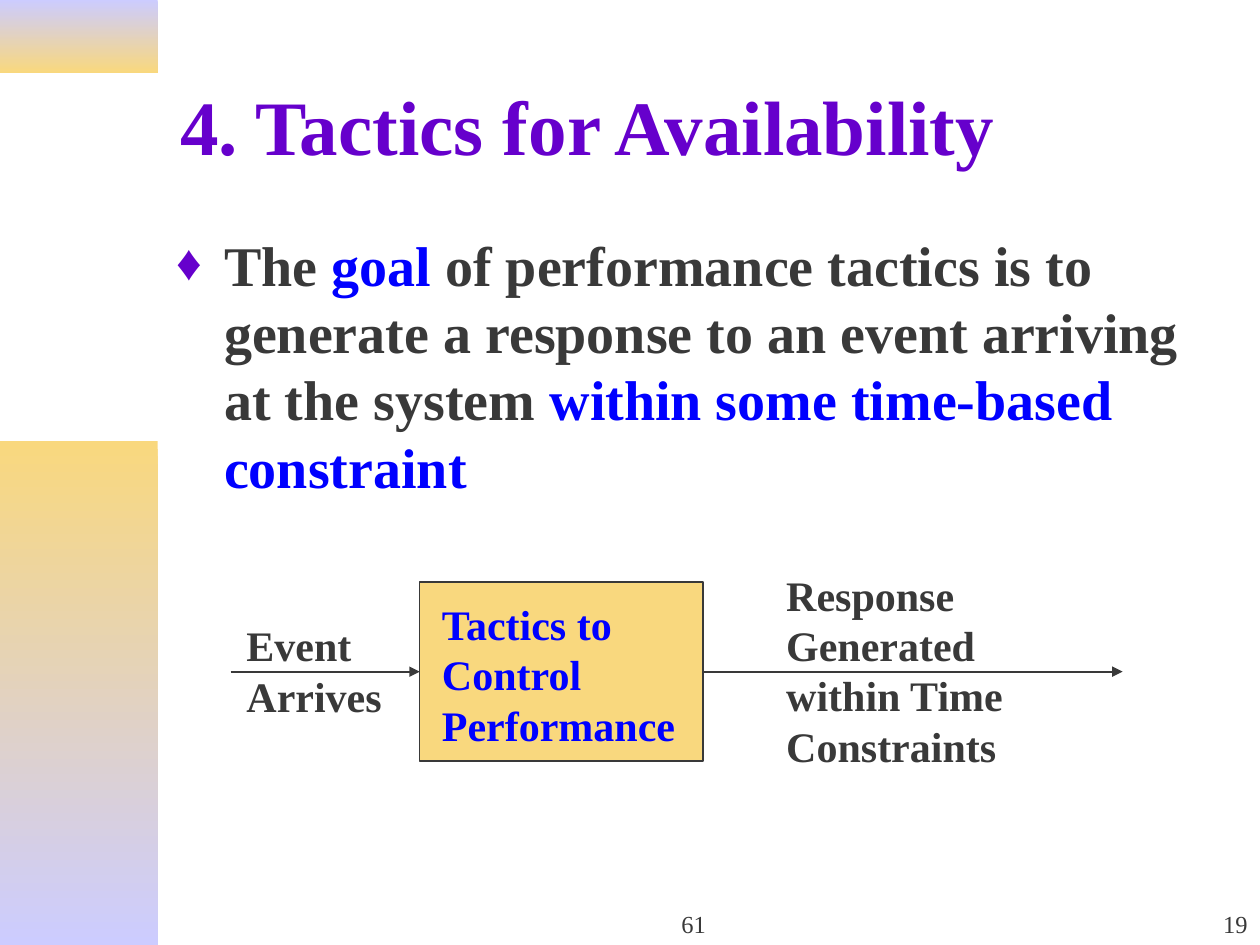
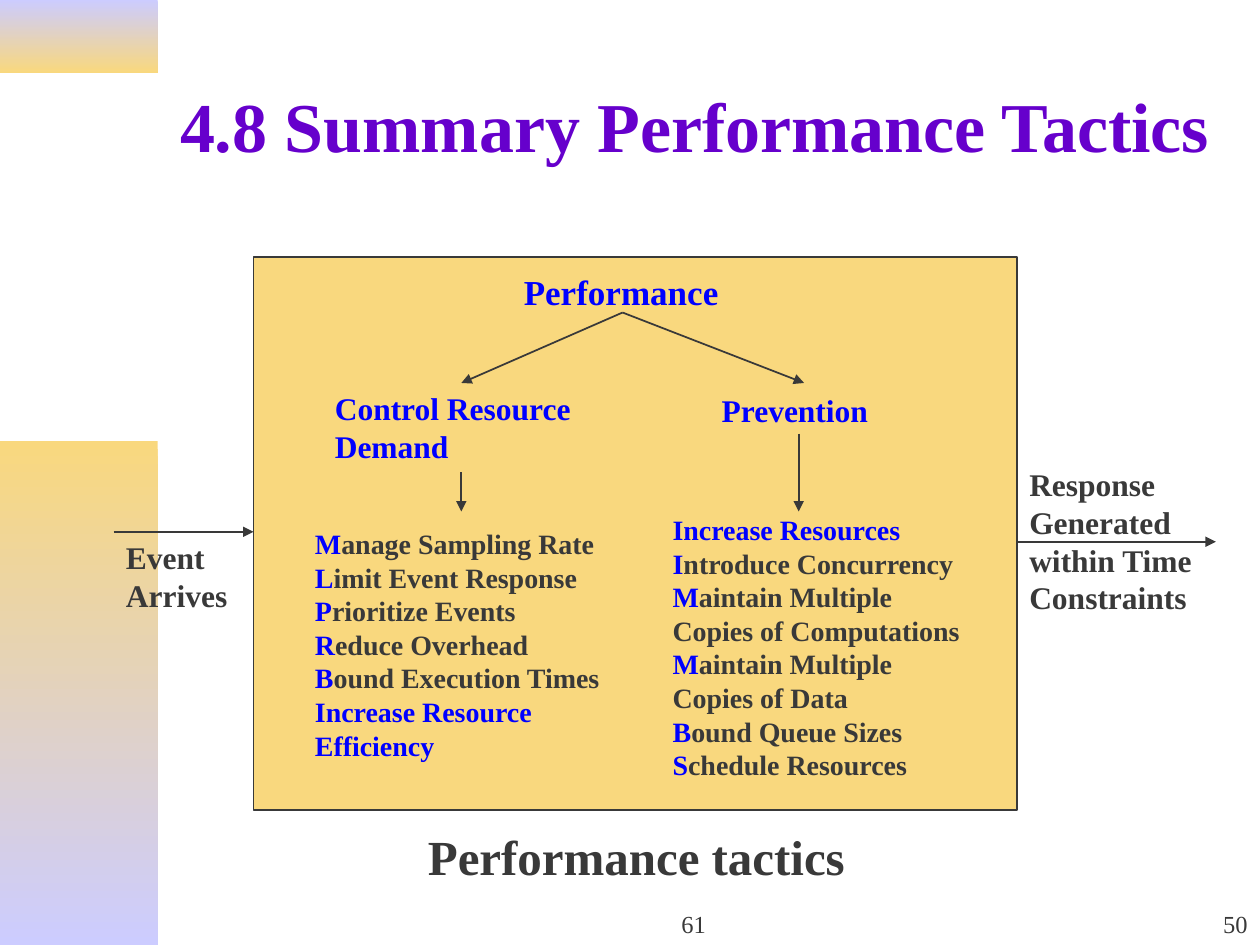
from lxml import etree
from pptx import Presentation
from pptx.dml.color import RGBColor
from pptx.enum.shapes import MSO_CONNECTOR, MSO_SHAPE
from pptx.enum.text import MSO_ANCHOR, PP_ALIGN
from pptx.oxml.ns import qn
from pptx.util import Cm, Pt

STRAIGHT = MSO_CONNECTOR.STRAIGHT
RECTANGLE = MSO_SHAPE.RECTANGLE
TOP, MIDDLE, BOTTOM = MSO_ANCHOR.TOP, MSO_ANCHOR.MIDDLE, MSO_ANCHOR.BOTTOM
LEFT, CENTER, RIGHT = PP_ALIGN.LEFT, PP_ALIGN.CENTER, PP_ALIGN.RIGHT

PURPLE = RGBColor(0x66, 0x00, 0xCC)
BLUE = RGBColor(0x00, 0x00, 0xFF)
GRAY = RGBColor(0x39, 0x39, 0x39)
GOLD = RGBColor(0xF9, 0xD8, 0x7E)
LAVENDER = RGBColor(0xCC, 0xCC, 0xFF)

FONT = "Times New Roman"
LINE_WIDTH = Pt(1)
LINE_PITCH = 1.2
BULLET_INDENT = Cm(0.97)


def add_bullet(para):
    """Give a paragraph a hanging purple diamond."""
    properties = para._p.get_or_add_pPr()
    properties.set("marL", str(BULLET_INDENT))
    properties.set("indent", str(-BULLET_INDENT))
    color = etree.SubElement(properties, qn("a:buClr"))
    etree.SubElement(color, qn("a:srgbClr"), val=str(PURPLE))
    etree.SubElement(properties, qn("a:buSzPct"), val="90000")
    etree.SubElement(properties, qn("a:buFont"), typeface=FONT)
    etree.SubElement(properties, qn("a:buChar"), char="♦")


def write(frame, text, size=18, color=GRAY, bold=True, align=LEFT, bullet=False):
    """Write one paragraph per line of text, with *starred* spans in blue."""
    for index, line in enumerate(text.split("\n")):
        para = frame.add_paragraph() if index else frame.paragraphs[0]
        if bullet:
            add_bullet(para)
        para.alignment = align
        para.line_spacing = Pt(size * LINE_PITCH)
        for position, part in enumerate(line.split("*")):
            if part:
                span = para.add_run()
                span.text = part
                span.font.name = FONT
                span.font.size = Pt(size)
                span.font.bold = bold
                span.font.color.rgb = BLUE if position % 2 else color


class TacticsDeck:
    """Holds the shared style and the slide being built."""

    def __init__(self):
        """Start an empty 4:3 deck."""
        self.deck = Presentation()
        self.deck.slide_width, self.deck.slide_height = Cm(25.4), Cm(19.05)
        self.page = None

    def start_page(self, title, number, title_size=44):
        """Add a slide with its bands, title and footers."""
        self.page = self.deck.slides.add_slide(self.deck.slide_layouts[6])
        self.band(0, 1.47, LAVENDER, GOLD)
        self.band(8.89, 10.16, GOLD, LAVENDER)
        self.text(title, 3.38, 0.84, 21.59, 3.35, anchor=MIDDLE, size=title_size, color=PURPLE)
        for text, left, width, align in (("61", 9.96, 8.05, CENTER), (number, 20.12, 5.28, RIGHT)):
            self.text(text, left, 17.78, width, 1.27, anchor=BOTTOM, size=14, bold=False, align=align)

    def rectangle(self, left, top, width, height):
        """Add a bare rectangle without shadow."""
        shape = self.page.shapes.add_shape(RECTANGLE, Cm(left), Cm(top), Cm(width), Cm(height))
        shape.shadow.inherit = False
        return shape

    def band(self, top, height, upper, lower):
        """Add a band on the left edge that fades downwards."""
        shape = self.rectangle(0, top, 3.18, height)
        shape.line.fill.background()
        shape.fill.gradient()
        shape.fill.gradient_angle = 270
        for stop, color in zip(shape.fill.gradient_stops, (upper, lower)):
            stop.color.rgb = color

    def panel(self, left, top, width, height):
        """Add an outlined gold panel."""
        shape = self.rectangle(left, top, width, height)
        shape.fill.solid()
        shape.fill.fore_color.rgb = GOLD
        shape.line.color.rgb = GRAY
        shape.line.width = LINE_WIDTH

    def text(self, text, left, top, width, height, anchor=TOP, **style):
        """Add a wrapping text box."""
        box = self.page.shapes.add_textbox(Cm(left), Cm(top), Cm(width), Cm(height))
        box.text_frame.word_wrap = True
        box.text_frame.vertical_anchor = anchor
        write(box.text_frame, text, **style)

    def arrow(self, *ends):
        """Add an arrow from the first point to the second."""
        line = self.page.shapes.add_connector(STRAIGHT, *map(Cm, ends))
        line.line.color.rgb = GRAY
        line.line.width = LINE_WIDTH
        properties = line.element.spPr
        etree.SubElement(properties.find(qn("a:ln")), qn("a:tailEnd"), type="triangle")
        etree.SubElement(properties, qn("a:effectLst"))

    def save(self):
        """Save the deck."""
        self.deck.save("out.pptx")


def build_goal(deck):
    """Build the slide on the goal of performance tactics."""
    deck.start_page("4. Tactics for Availability", "19")
    deck.text(
        "The *goal* of performance tactics is to generate a response to an event "
        "arriving at the system *within some time-based constraint*",
        3.3, 4.52, 21.59, 5.79, size=32, bullet=True)
    deck.arrow(14.17, 13.54, 22.63, 13.54)
    deck.panel(8.46, 11.73, 5.72, 3.61)
    deck.text("Tactics to Control Performance", 8.66, 11.94, 5.33, 3.3, size=24, color=BLUE)
    deck.arrow(4.65, 13.54, 8.46, 13.54)
    deck.text("Event Arrives", 4.72, 12.37, 3.38, 2.29, size=24)
    deck.text("Response Generated within Time Constraints", 15.6, 11.35, 6.12, 4.32, size=24)


def build_summary(deck):
    """Build the slide that sums up the performance tactics."""
    deck.start_page("4.8 Summary Performance Tactics", "50", title_size=40)
    deck.text("Performance tactics", 3.43, 16.54, 18.8, 1.45, size=28, align=CENTER)
    deck.arrow(20.5, 10.92, 24.51, 10.92)
    deck.panel(5.11, 5.18, 15.39, 11.15)
    deck.text("Performance", 10.31, 5.33, 4.78, 1.12, size=20, color=BLUE)
    deck.arrow(2.29, 10.72, 5.11, 10.72)
    deck.text("Event Arrives", 2.29, 10.72, 2.59, 1.78)
    deck.text("Response Generated within Time Constraints", 20.5, 9.25, 4.19, 3.3)
    deck.text("Control Resource Demand", 6.5, 7.72, 5.59, 1.78, color=BLUE)
    deck.text("Prevention", 14.3, 7.75, 3.81, 1.02, color=BLUE)
    deck.text(
        "*M*anage Sampling Rate\n*L*imit Event Response\n*P*rioritize Events\n"
        "*R*educe Overhead\n*B*ound Execution Times\n*Increase Resource Efficiency*",
        6.1, 10.49, 6.4, 5, size=16)
    deck.text(
        "*Increase Resources*\n*I*ntroduce Concurrency\n"
        "*M*aintain Multiple Copies of Computations\n*M*aintain Multiple Copies of Data\n"
        "*B*ound Queue Sizes\n*S*chedule Resources",
        13.31, 10.21, 6.4, 5.69, size=16)
    for branch_end in (9.3, 16.21):
        deck.arrow(12.55, 6.3, branch_end, 7.72)
    for center, top in ((9.3, 9.52), (16.1, 8.74)):
        deck.arrow(center, top, center, 10.31)


def main():
    """Build and save both slides."""
    deck = TacticsDeck()
    build_goal(deck)
    build_summary(deck)
    deck.save()


if __name__ == "__main__":
    main()
